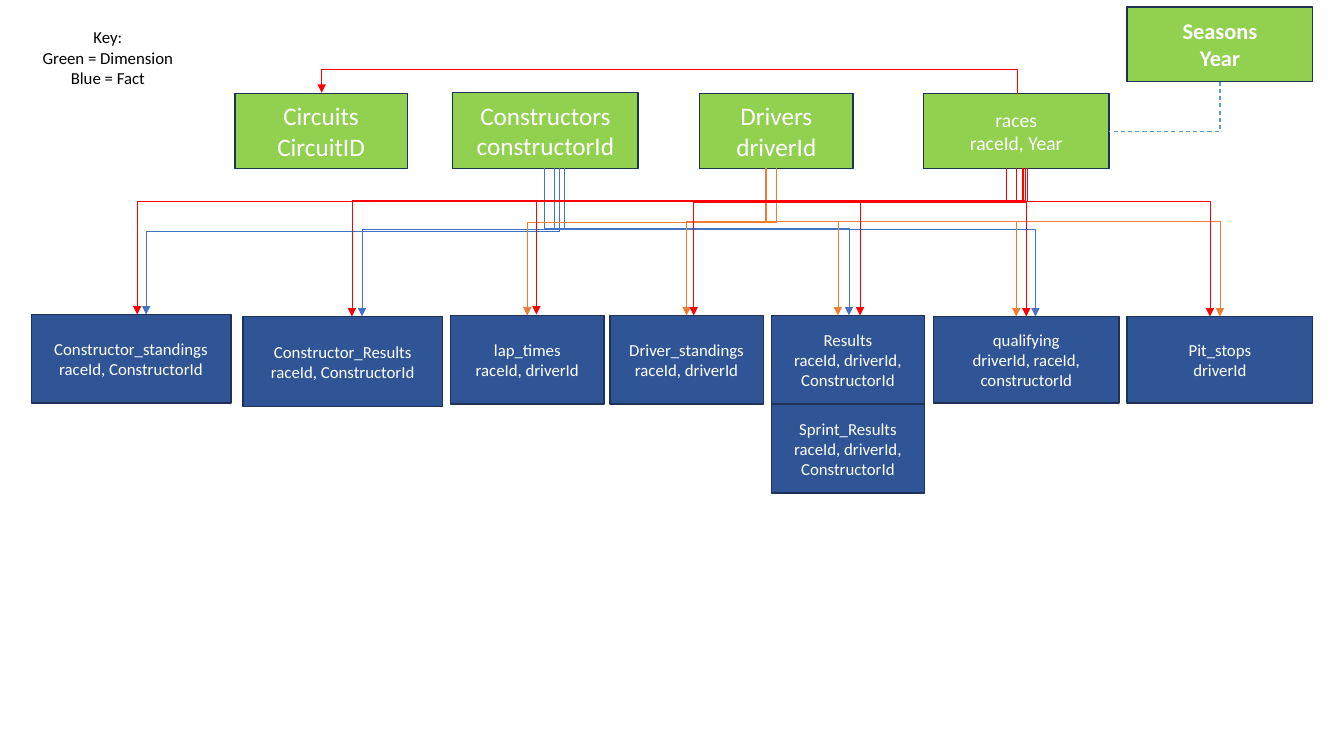
from lxml import etree
from pptx import Presentation
from pptx.dml.color import RGBColor
from pptx.enum import dml, shapes, text
from pptx.oxml import ns
from pptx.util import Inches, Pt

GREEN = RGBColor(0x92, 0xD0, 0x50)
NAVY = RGBColor(0x2F, 0x55, 0x97)
OUTLINE = RGBColor(0x1E, 0x32, 0x56)
WHITE = RGBColor(0xFF, 0xFF, 0xFF)
BLACK = RGBColor(0x00, 0x00, 0x00)
BLUE = RGBColor(0x44, 0x72, 0xC4)
ORANGE = RGBColor(0xED, 0x7D, 0x31)
RED = RGBColor(0xFF, 0x00, 0x00)
SKY = RGBColor(0x5B, 0x9B, 0xD5)

deck = Presentation()
deck.slide_width, deck.slide_height = Inches(13.33), Inches(7.5)
page = deck.slides.add_slide(deck.slide_layouts[6])


def write(box, words, size, color, bold=False):
    """Fill a box with centred lines of text."""
    frame = box.text_frame
    frame.word_wrap = True
    frame.text = words
    for para in frame.paragraphs:
        para.alignment = text.PP_ALIGN.CENTER
        for span in para.runs:
            span.font.name = "Calibri"
            span.font.size = Pt(size)
            span.font.bold = bold
            span.font.color.rgb = color


def add_elbow(start, end, color, bend=None):
    """Draw an elbow that leaves vertically; bend is the height of its level run."""
    (x1, y1), (x2, y2) = start, end
    middle_x, middle_y = (x1 + x2) / 2, (y1 + y2) / 2
    half_drop, half_run = abs(y2 - y1) / 2, abs(x2 - x1) / 2
    rising, rightward = y2 < y1, x2 > x1
    # A preset elbow leaves sideways, so it is laid out flat and then turned.
    flip_x = -1 if rightward else 1
    flip_y = -1 if rising else 1
    line = page.shapes.add_connector(
        shapes.MSO_CONNECTOR.ELBOW,
        Inches(middle_x - flip_x * half_drop), Inches(middle_y - flip_y * half_run),
        Inches(middle_x + flip_x * half_drop), Inches(middle_y + flip_y * half_run))
    line.line.color.rgb = color
    line.line.width = Pt(0.5)
    properties = line._element.spPr
    turn = 270 if rising or rightward else 90
    properties.find(ns.qn("a:xfrm")).set("rot", str(turn * 60000))
    geometry = properties.find(ns.qn("a:prstGeom"))
    if bend is None:
        geometry.set("prst", "bentConnector2")
    else:
        share = round((bend - y1) / (y2 - y1) * 100000)
        guides = geometry.find(ns.qn("a:avLst"))
        etree.SubElement(guides, ns.qn("a:gd"), name="adj1", fmla=f"val {share}")
        etree.SubElement(properties.find(ns.qn("a:ln")), ns.qn("a:tailEnd"), type="triangle")
    etree.SubElement(properties, ns.qn("a:effectLst"))
    return line


key = page.shapes.add_textbox(Inches(0.31), Inches(0.22), Inches(1.52), Inches(0.71))
write(key, "Key:\nGreen = Dimension\nBlue = Fact", 12, BLACK)

# Tables: left, top, width, height, text size, wording
dimensions = [
    (2.33, 0.93, 1.71, 0.74, 18, "Circuits\nCircuitID"),
    (4.49, 0.92, 1.84, 0.75, 18, "Constructors\nconstructorId"),
    (6.94, 0.93, 1.52, 0.74, 18, "Drivers\ndriverId"),
    (9.16, 0.93, 1.84, 0.74, 14, "races\nraceId, Year"),
    (11.18, 0.07, 1.84, 0.74, 16, "Seasons\nYear"),
]
facts = [
    (0.31, 3.12, 1.98, 0.88, 12, "Constructor_standings\nraceId, ConstructorId"),
    (2.41, 3.14, 1.98, 0.89, 12, "Constructor_Results\nraceId, ConstructorId"),
    (4.47, 3.13, 1.52, 0.88, 12, "lap_times\nraceId, driverId"),
    (6.05, 3.13, 1.52, 0.88, 12, "Driver_standings\nraceId, driverId"),
    (7.65, 3.13, 1.52, 0.88, 12, "Results\nraceId, driverId, ConstructorId"),
    (9.26, 3.14, 1.84, 0.86, 12, "qualifying\ndriverId, raceId, constructorId"),
    (11.18, 3.14, 1.84, 0.86, 12, "Pit_stops\ndriverId"),
    (7.65, 4.01, 1.52, 0.88, 12, "Sprint_Results\nraceId, driverId, ConstructorId"),
]
for fill, tables in ((GREEN, dimensions), (NAVY, facts)):
    for left, top, width, height, size, words in tables:
        box = page.shapes.add_shape(
            shapes.MSO_SHAPE.RECTANGLE,
            Inches(left), Inches(top), Inches(width), Inches(height))
        box.shadow.inherit = False
        box.fill.solid()
        box.fill.fore_color.rgb = fill
        box.line.color.rgb = OUTLINE
        box.line.width = Pt(1)
        box.text_frame.vertical_anchor = text.MSO_ANCHOR.MIDDLE
        write(box, words, size, WHITE, bold=words.startswith("Seasons"))

# Keys from dimension to fact: start x, bend height, end x, end y
constructor_keys = [(5.55, 2.29, 1.45, 3.12), (5.6, 2.28, 3.59, 3.14),
                    (5.4, 2.27, 8.42, 3.13), (5.5, 2.28, 10.27, 3.14)]
driver_keys = [(7.7, 2.21, 5.23, 3.13), (7.7, 2.2, 6.81, 3.13), (7.59, 2.2, 8.31, 3.13),
               (7.6, 2.2, 10.08, 3.14), (7.7, 2.2, 12.1, 3.14)]
race_keys = [(10.19, 2, 8.53, 3.13), (10.08, 2.01, 10.18, 3.14), (10.15, 2.01, 6.88, 3.13),
             (10.17, 2, 5.32, 3.12), (10.17, 1.99, 3.49, 3.14), (10.14, 2, 1.36, 3.12),
             (9.98, 2, 12, 3.14)]
for color, keys in ((BLUE, constructor_keys), (ORANGE, driver_keys), (RED, race_keys)):
    for start_x, bend, end_x, end_y in keys:
        add_elbow((start_x, 1.67), (end_x, end_y), color, bend)

add_elbow((10.09, 0.93), (3.19, 0.92), RED, bend=0.68)
season_link = add_elbow((12.1, 0.81), (11, 1.3), SKY)
season_link.line.width = Pt(0.75)
season_link.line.dash_style = dml.MSO_LINE.DASH

deck.save("out.pptx")
